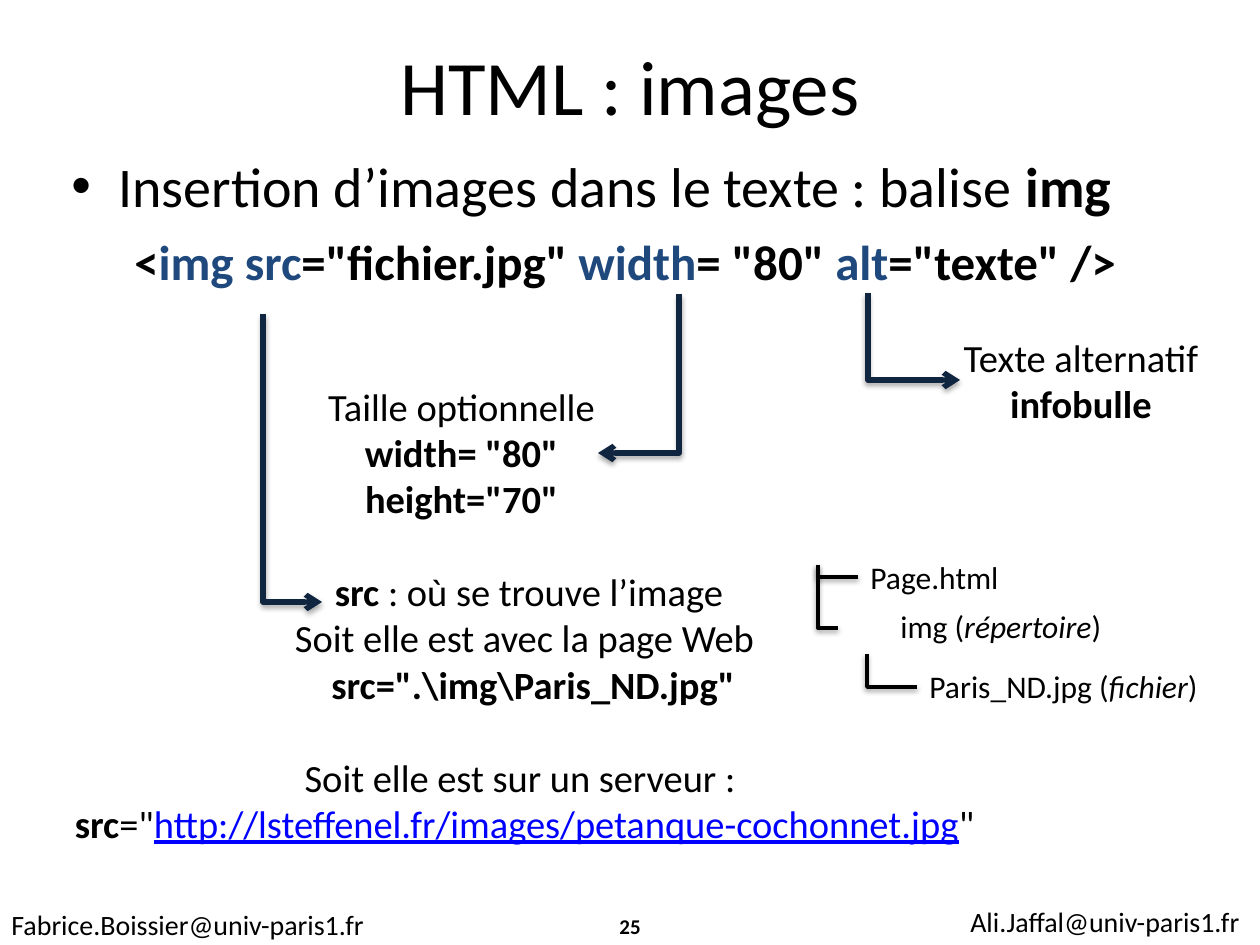
from lxml import etree
from pptx import Presentation
from pptx.dml.color import RGBColor
from pptx.enum.shapes import MSO_CONNECTOR
from pptx.enum.text import MSO_ANCHOR, PP_ALIGN
from pptx.oxml import parse_xml
from pptx.oxml.ns import qn
from pptx.util import Emu, Pt

ELBOW = MSO_CONNECTOR.ELBOW
LEFT, CENTER = PP_ALIGN.LEFT, PP_ALIGN.CENTER
TOP, MIDDLE = MSO_ANCHOR.TOP, MSO_ANCHOR.MIDDLE
FONT = "Calibri"
SCALE = 914400 / 126
NS = 'xmlns:a="http://schemas.openxmlformats.org/drawingml/2006/main"'
COLORS = {"text": "000000", "code": "1F497D", "link": "0000FF", "arrow": "10253F"}


def px(n):
    return Emu(round(n * SCALE))


def write(box, paras, size, align=LEFT, anchor=TOP, wrap=False, inset=True):
    """Each paragraph is a list of (text, marks) runs; marks are b, i, code, link."""
    frame = slide.shapes.add_textbox(*map(px, box)).text_frame
    frame.word_wrap = wrap
    frame.vertical_anchor = anchor
    if not inset:
        frame.margin_left = frame.margin_right = 0
        frame.margin_top = frame.margin_bottom = 0
    for n, runs in enumerate(paras):
        para = frame.paragraphs[0] if n == 0 else frame.add_paragraph()
        para.alignment = align
        font = para.font
        font.name, font.size = FONT, Pt(size)
        font.color.rgb = RGBColor.from_string(COLORS["text"])
        same = all("b" in marks.split() for _, marks in runs)
        if same:
            font.bold = True
        for words, marks in runs:
            if words == "\n":
                para.add_line_break()
                continue
            run = para.add_run()
            run.text = words
            for mark in marks.split():
                if mark == "b" and not same:
                    run.font.bold = True
                elif mark == "i":
                    run.font.italic = True
                elif mark in COLORS:
                    run.font.color.rgb = RGBColor.from_string(COLORS[mark])
                    run.font.underline = True if mark == "link" else None
    return frame.paragraphs


deck = Presentation()
deck.slide_width, deck.slide_height = px(1260), px(945)
slide = deck.slides.add_slide(deck.slide_layouts[6])

# Footer
write((-1, 901, 383, 47), [[("Fabrice.Boissier@univ-paris1.fr", "")]], 16)
write((958, 898, 305, 47), [[("Ali.Jaffal@univ-paris1.fr", "")]], 16)
write((483, 901, 294, 50), [[("25", "b")]], 12, CENTER, MIDDLE, True)

# Title
write((63, 6, 1134, 158), [[("HTML : images", "")]], 44, CENTER, MIDDLE, True)

# Bullet and tag
lead, = write((59, 145, 1134, 80), [
    [("Insertion d’images dans le texte : balise ", ""), ("img", "b")],
], 32, wrap=True)
props = lead._p.get_or_add_pPr()
props.set("marL", str(px(47)))
props.set("indent", str(px(-47)))
first = props.find(qn("a:defRPr"))
first.addprevious(parse_xml(f'<a:buFont {NS} typeface="Arial"/>'))
first.addprevious(parse_xml(f'<a:buChar {NS} char="•"/>'))

write((122, 225, 1071, 75), [[
    ("<", "b"), ("img src", "b code"), ('="fichier.jpg" ', "b"),
    ("width", "b code"), ('= "80" ', "b"),
    ("alt", "b code"), ('="texte" />', "b"),
]], 28, wrap=True)

# Attribute notes
write((325, 383, 273, 140), [
    [("Taille optionnelle", "")],
    [('width= "80"', "b")],
    [('height="70"', "b")],
], 22, CENTER, inset=False)
write((960, 334, 242, 93), [
    [("Texte alternatif", "")],
    [("infobulle", "b")],
], 22, CENTER, inset=False)
notes = write((54, 562, 941, 292), [
    [("src", "b"), (" : où se trouve l’image", "")],
    [("Soit elle est avec la page Web", "")],
    [('src=".\\img\\Paris_ND.jpg"', "b")],
    [("Soit elle est sur un serveur : ", ""), ("\n", ""),
     ("src", "b"), ('="', ""),
     ("http://lsteffenel.fr/images/petanque-cochonnet.jpg", "link"), ('"', "")],
], 22, CENTER)
notes[0]._p.get_or_add_pPr().set("marL", str(px(9)))
notes[2]._p.get_or_add_pPr().set("marL", str(px(17)))
notes[3].space_before = Pt(26.8)

# File tree
write((858, 552, 156, 50), [[("Page.html", "")]], 18)
write((888, 601, 228, 50), [[("img (", ""), ("répertoire", "i"), (")", "")]], 18)
write((917, 661, 297, 50), [[("Paris_ND.jpg (", ""), ("fichier", "i"), (")", "")]], 18)

# Elbows run down first, then across: x1, y1, x2, y2, colour, weight
elbows = [
    (263, 314, 322, 602, "arrow", 3),
    (679, 294, 598, 453, "arrow", 3),
    (868, 293, 960, 380, "arrow", 3),
    (818, 565, 858, 577, "text", 2),
    (818, 565, 838, 628, "text", 2),
    (867, 654, 917, 687, "text", 2),
]
for x1, y1, x2, y2, color, weight in elbows:
    link = slide.shapes.add_connector(ELBOW, 0, 0, px(10), px(10))
    wide, high = abs(x2 - x1), y2 - y1
    # The frame is a quarter turn about its centre
    link.left = px((x1 + x2 - high) / 2)
    link.top = px((y1 + y2 - wide) / 2)
    link.width, link.height = px(high), px(wide)
    props = link._element.spPr
    frame = props.find(qn("a:xfrm"))
    frame.set("rot", "16200000" if x2 > x1 else "5400000")
    if x2 > x1:
        frame.set("flipH", "1")
    props.find(qn("a:prstGeom")).set("prst", "bentConnector2")
    link.line.color.rgb = RGBColor.from_string(COLORS[color])
    link.line.width = Pt(weight)
    if color == "arrow":
        etree.SubElement(link.line._get_or_add_ln(), qn("a:tailEnd"), type="arrow")
    alpha, drop = (35, 1.8) if color == "arrow" else (38, 1.6)
    props.append(parse_xml(
        f'<a:effectLst {NS}><a:outerShdw blurRad="{Pt(3.1)}" dist="{Pt(drop)}" '
        f'dir="5400000" rotWithShape="0"><a:srgbClr val="{COLORS["text"]}">'
        f'<a:alpha val="{alpha * 1000}"/></a:srgbClr></a:outerShdw></a:effectLst>'))

deck.save("out.pptx")
